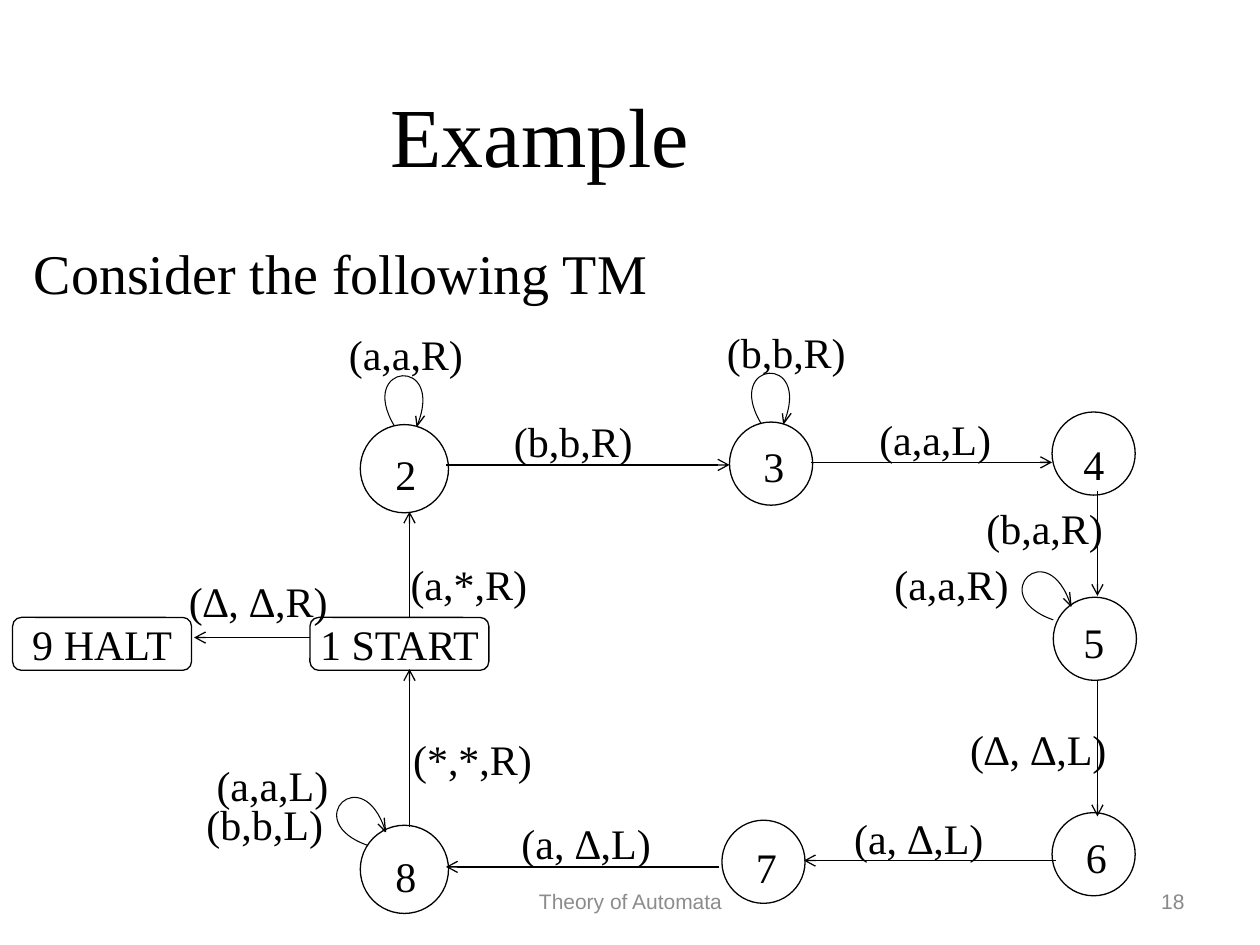
from lxml import etree
from pptx import Presentation
from pptx import util as u
from pptx.dml.color import RGBColor
from pptx.enum import shapes, text
from pptx.oxml import ns

PX = 9144  # 100 px to the inch
BLACK = RGBColor(0x00, 0x00, 0x00)
WHITE = RGBColor(0xFF, 0xFF, 0xFF)
GREY = RGBColor(0x89, 0x89, 0x89)
FOOTER_GREY = RGBColor(0x8C, 0x8C, 0x8C)
SERIF = "Times New Roman"


def write(shape, words, size=24, font=SERIF, color=BLACK, align=text.PP_ALIGN.LEFT,
          anchor=text.MSO_ANCHOR.TOP, wrap=True, top=5):
    frame = shape.text_frame
    frame.text = words
    frame.word_wrap = wrap
    frame.vertical_anchor = anchor
    frame.margin_top = top * PX
    paragraph = frame.paragraphs[0]
    paragraph.alignment = align
    run_font = paragraph.runs[0].font
    run_font.size, run_font.name = u.Pt(size), font
    run_font.color.rgb = color


def outline(shape, width=0.75, fill=None):
    shape.shadow.inherit = False
    shape.line.color.rgb = BLACK
    shape.line.width = u.Pt(width)
    if fill is None:
        shape.fill.background()
    else:
        shape.fill.solid()
        shape.fill.fore_color.rgb = fill


deck = Presentation()
deck.slide_width, deck.slide_height = 1000 * PX, 750 * PX
slide = deck.slides.add_slide(deck.slide_layouts[5])

# Title and statement
title = slide.shapes.title
title.left, title.top, title.width, title.height = 300 * PX, 54 * PX, 525 * PX, 90 * PX
write(title, "Example", 48, top=12)
statement = slide.shapes.add_textbox(17 * PX, 179 * PX, 850 * PX, 63 * PX)
write(statement, "Consider the following TM", 32, top=10)

machine = slide.shapes.add_group_shape().shapes

# States: circle left, top, diameter; number left, top
states = {
    "2": (286, 337, 70, 304, 348),
    "3": (579, 335, 66, 596, 342),
    "4": (835, 327, 66, 850, 340),
    "5": (836, 474, 66, 850, 481),
    "6": (835, 645, 66, 852, 652),
    "7": (573, 651, 66, 590, 660),
    "8": (286, 655, 70, 304, 667),
}
for left, top, size, _, _ in states.values():
    circle = machine.add_shape(shapes.MSO_SHAPE.OVAL, left * PX, top * PX, size * PX, size * PX)
    outline(circle, fill=WHITE)

# Self loops: offsets from the start point of each loop
UPRIGHT = [(-30, -50), (41, -56), (18, 0)], [(24, -8), (18, 0), (17, -8)]
TILTED = [(-55, -19), (-4, -69), (14, -11)], [(13, -22), (14, -11), (8, -17)]
loops = [(604, 336, UPRIGHT), (313, 338, UPRIGHT), (292, 671, TILTED), (836, 492, TILTED)]
for x, y, (curve, head) in loops:
    builder = machine.build_freeform(x, y, scale=PX)
    builder.add_line_segments([(x + dx, y + dy) for dx, dy in curve], close=False)
    loop = builder.convert_to_shape()
    outline(loop, 0.6)
    # Turn the three segments into one cubic curve
    path_element = loop.element.find(".//" + ns.qn("a:path"))
    cubic = etree.SubElement(path_element, ns.qn("a:cubicBezTo"))
    for segment in path_element.findall(ns.qn("a:lnTo")):
        cubic.append(segment[0])
        path_element.remove(segment)

    tip = [(x + dx, y + dy) for dx, dy in head]
    builder = machine.build_freeform(*tip[0], scale=PX)
    builder.add_line_segments(tip[1:], close=False)
    outline(builder.convert_to_shape())

# Start and halt
for words, left in [("1 START", 246), ("9 HALT", 10)]:
    terminal = machine.add_shape(shapes.MSO_SHAPE.ROUNDED_RECTANGLE,
                                 left * PX, 490 * PX, 142 * PX, 42 * PX)
    outline(terminal)
    write(terminal, words, align=text.PP_ALIGN.CENTER,
          anchor=text.MSO_ANCHOR.MIDDLE, wrap=False)

# Transitions
transitions = [
    (246, 506, 154, 506), (325, 490, 325, 406), (325, 656, 325, 531),
    (571, 688, 354, 688), (838, 683, 638, 683), (871, 540, 871, 648),
    (354, 369, 579, 369), (644, 367, 835, 367), (871, 390, 871, 473),
]
for ends in transitions:
    arrow = machine.add_connector(shapes.MSO_CONNECTOR.STRAIGHT, *[end * PX for end in ends])
    arrow.line.color.rgb = BLACK
    arrow.line.width = u.Pt(0.75)
    etree.SubElement(arrow.line._get_or_add_ln(), ns.qn("a:tailEnd"), type="arrow")
    etree.SubElement(arrow._element.spPr, ns.qn("a:effectLst"))

# Transition labels
labels = [
    ("(∆, ∆,R)", 140, 452), ("(a,*,R)", 316, 438), ("(*,*,R)", 318, 577),
    ("(a,a,L)", 162, 598), ("(b,b,L)", 154, 629), ("(a, ∆,L)", 404, 644),
    ("(a, ∆,L)", 668, 640), ("(∆, ∆,L)", 760, 569), ("(a,a,R)", 700, 438),
    ("(b,a,R)", 773, 394), ("(a,a,L)", 688, 323), ("(b,b,R)", 567, 254),
    ("(b,b,R)", 398, 325), ("(a,a,R)", 267, 256),
]
for words, left, top in labels:
    write(machine.add_textbox(left * PX, top * PX, 171 * PX, 46 * PX), words)

# State numbers
for number, (_, _, _, left, top) in states.items():
    write(machine.add_textbox(left * PX, top * PX, 50 * PX, 50 * PX), number, top=8)

# Footer
footer = [
    ("18", 717, 233, GREY, text.PP_ALIGN.RIGHT),
    ("Theory of Automata", 342, 317, FOOTER_GREY, text.PP_ALIGN.CENTER),
]
for words, left, width, color, align in footer:
    write(slide.shapes.add_textbox(left * PX, 695 * PX, width * PX, 40 * PX), words, 12,
          "Arial", color, align, text.MSO_ANCHOR.MIDDLE)

deck.save("out.pptx")
